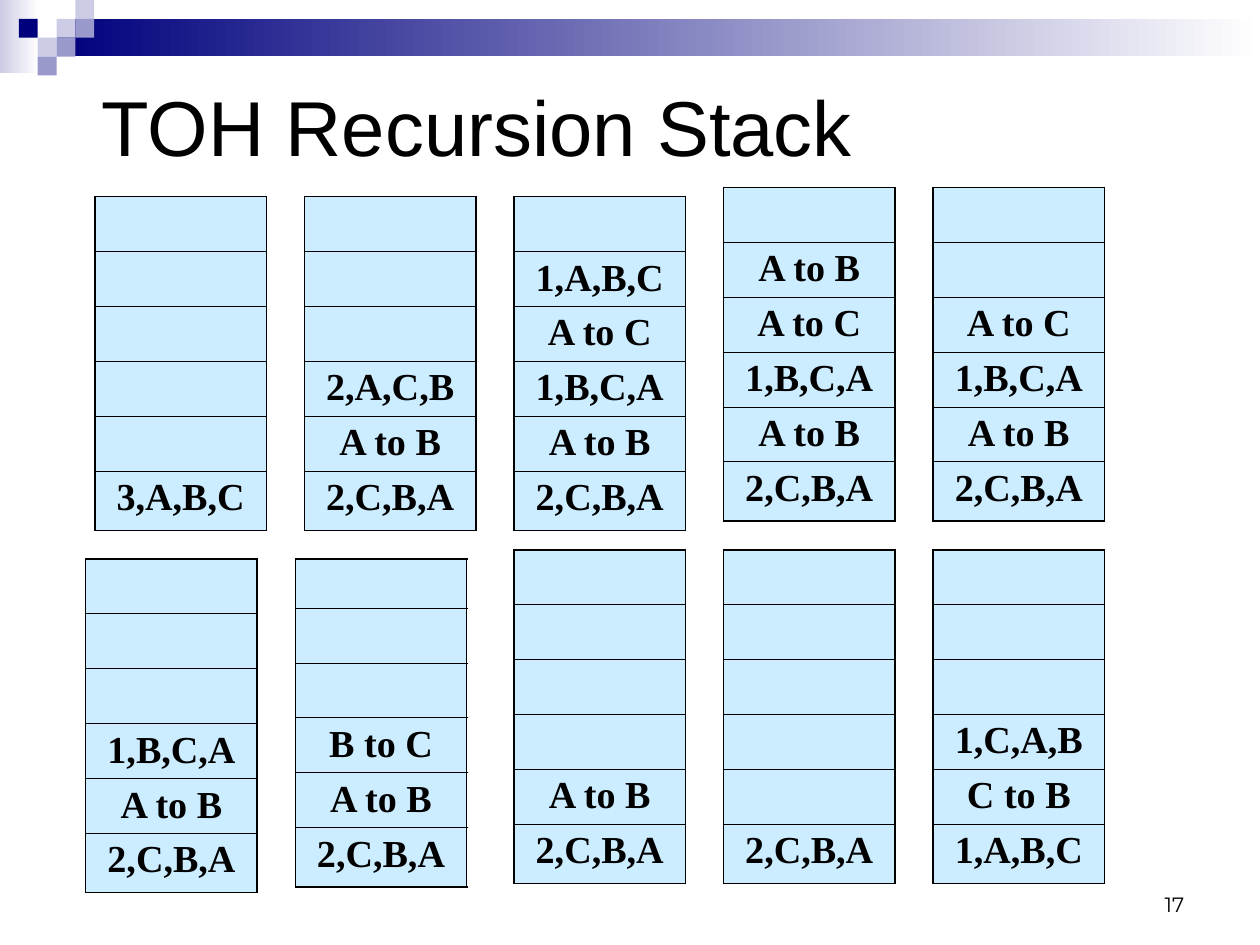
import pptx
import pptx.dml.color
import pptx.enum.shapes
import pptx.enum.text
import pptx.oxml
import pptx.oxml.ns
import pptx.util

Inches = pptx.util.Inches
Align = pptx.enum.text.PP_ALIGN
Anchor = pptx.enum.text.MSO_ANCHOR

COLORS = {
    "navy": "00007D",
    "lavender": "CCCCE6",
    "violet": "9999CC",
    "sky": "CCECFF",
    "black": "000000",
    "white": "FFFFFF",
}
WIDTH, HEIGHT = pptx.util.Cm(28), pptx.util.Cm(21)
TILE = 0.165
STACK_LEFT, STACK_STEP, STACK_WIDTH = 0.83, 11 / 6, 1.5
STACK_TOPS = (1.64, 4.81)
NUDGE = 0.08
FRAMES, FRAME_HEIGHT, BOTTOM_HEIGHT = 6, 0.48, 0.52
THICK, THIN = 1.08, 0.45

# (column, row) of each corner tile on the tile grid
TILES = {
    "lavender": [(3, 1), (4, 0), (2, 2)],
    "violet": [(4, 1), (3, 2), (2, 3)],
    "navy": [(1, 1)],
}

# Frames from the top of each stack; the empty ones above are filled in
STACKS = [
    [
        ["3,A,B,C"],
        ["2,A,C,B", "A to B", "2,C,B,A"],
        ["1,A,B,C", "A to C", "1,B,C,A", "A to B", "2,C,B,A"],
        ["A to B", "A to C", "1,B,C,A", "A to B", "2,C,B,A"],
        ["A to C", "1,B,C,A", "A to B", "2,C,B,A"],
    ],
    [
        ["1,B,C,A", "A to B", "2,C,B,A"],
        ["B to C", "A to B", "2,C,B,A"],
        ["A to B", "2,C,B,A"],
        ["2,C,B,A"],
        ["1,C,A,B", "C to B", "1,A,B,C"],
    ],
]
# (left, top) nudges, as multiples of NUDGE, for stacks off the grid
NUDGES = {
    (0, 0): (0, 1), (0, 1): (0, 1), (0, 2): (0, 1),
    (1, 0): (-1, 1), (1, 1): (-1, 1),
}
SHORT_TOP_FRAMES = {(1, 1): 0.43}


def rgb(name):
    return pptx.dml.color.RGBColor.from_string(COLORS[name])


def style_text(para, font_name, size, align, bold=False):
    para.alignment = align
    para.font.name = font_name
    para.font.size = pptx.util.Pt(size)
    para.font.bold = bold
    para.font.color.rgb = rgb("black")


def add_block(page, left, top, width, height, *colors):
    """Add a borderless rectangle: one colour is solid, two fade left to right."""
    block = page.shapes.add_shape(
        pptx.enum.shapes.MSO_SHAPE.RECTANGLE,
        Inches(left), Inches(top), Inches(width), Inches(height))
    block.shadow.inherit = False
    block.line.fill.background()
    if len(colors) == 1:
        block.fill.solid()
        block.fill.fore_color.rgb = rgb(colors[0])
    else:
        block.fill.gradient()
        block.fill.gradient_angle = 0
        for stop, color in zip(block.fill.gradient_stops, colors):
            stop.color.rgb = rgb(color)


def add_label(page, text, left, top, width, height, anchor, font_name, size, align):
    box = page.shapes.add_textbox(
        Inches(left), Inches(top), Inches(width), Inches(height))
    frame = box.text_frame
    frame.word_wrap = True
    frame.vertical_anchor = anchor
    frame.margin_left = frame.margin_right = Inches(0.11)
    frame.margin_top = frame.margin_bottom = Inches(0.06)
    frame.text = text
    style_text(frame.paragraphs[0], font_name, size, align)


def set_borders(cell, top, bottom):
    widths = {"lnL": THICK, "lnR": THICK, "lnT": top, "lnB": bottom}
    for side, width in widths.items():
        cell._tc.get_or_add_tcPr().append(pptx.oxml.parse_xml(
            f'<a:{side} {pptx.oxml.ns.nsdecls("a")} w="{pptx.util.Pt(width)}">'
            f'<a:solidFill><a:srgbClr val="{COLORS["black"]}"/></a:solidFill>'
            f'</a:{side}>'))


def add_stack(page, left, top, calls, top_height):
    heights = [top_height] + [FRAME_HEIGHT] * (FRAMES - 2) + [BOTTOM_HEIGHT]
    table = page.shapes.add_table(
        FRAMES, 1, Inches(left), Inches(top),
        Inches(STACK_WIDTH), Inches(sum(heights))).table
    table.first_row = table.horz_banding = False
    texts = [""] * (FRAMES - len(calls)) + calls
    for index, (text, height) in enumerate(zip(texts, heights)):
        table.rows[index].height = Inches(height)
        cell = table.cell(index, 0)
        cell.margin_bottom = Inches(0.02)
        set_borders(cell, THICK if index == 0 else THIN,
                    THICK if index == FRAMES - 1 else THIN)
        cell.fill.solid()
        cell.fill.fore_color.rgb = rgb("sky")
        if text:
            cell.text = text
            style_text(cell.text_frame.paragraphs[0],
                       "Times New Roman", 24, Align.CENTER, bold=True)


def add_banner(page):
    add_block(page, 0, 0, 0.34, 0.64, "lavender", "white")
    add_block(page, 0.5, TILE, WIDTH.inches - 0.5, 2 * TILE, "navy", "white")
    for color, places in TILES.items():
        for column, row in places:
            add_block(page, column * TILE, row * TILE, TILE, TILE, color)


def main():
    deck = pptx.Presentation()
    deck.slide_width, deck.slide_height = WIDTH, HEIGHT
    page = deck.slides.add_slide(deck.slide_layouts[6])
    add_banner(page)
    add_label(page, "17", 7.9, 7.53, 2.57, 0.55,
              Anchor.BOTTOM, "Montserrat", 13, Align.RIGHT)
    add_label(page, "TOH Recursion Stack", 0.78, 0.63, 10.24, 0.93,
              Anchor.MIDDLE, "Arial", 49, Align.LEFT)
    for row, stacks in enumerate(STACKS):
        for column, calls in enumerate(stacks):
            across, down = NUDGES.get((row, column), (0, 0))
            add_stack(page,
                      STACK_LEFT + column * STACK_STEP + across * NUDGE,
                      STACK_TOPS[row] + down * NUDGE, calls,
                      SHORT_TOP_FRAMES.get((row, column), FRAME_HEIGHT))
    deck.save("out.pptx")


if __name__ == "__main__":
    main()
